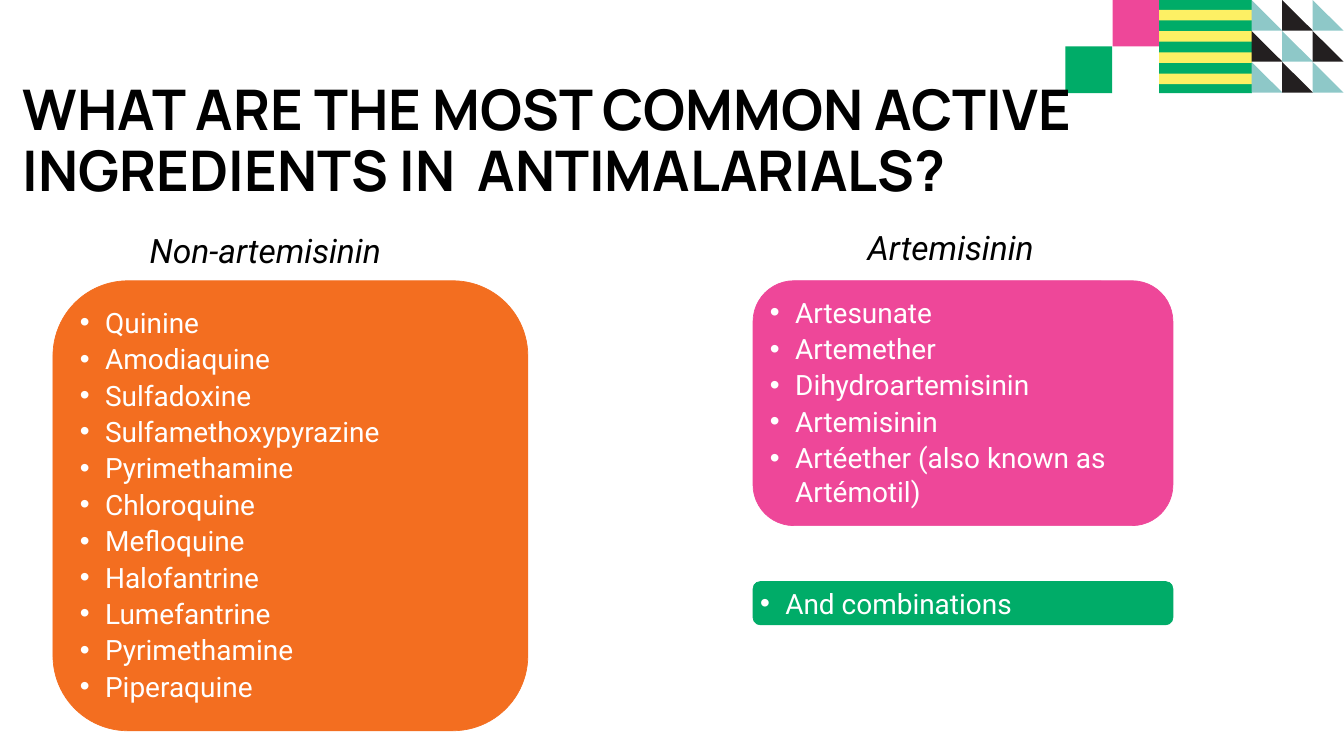
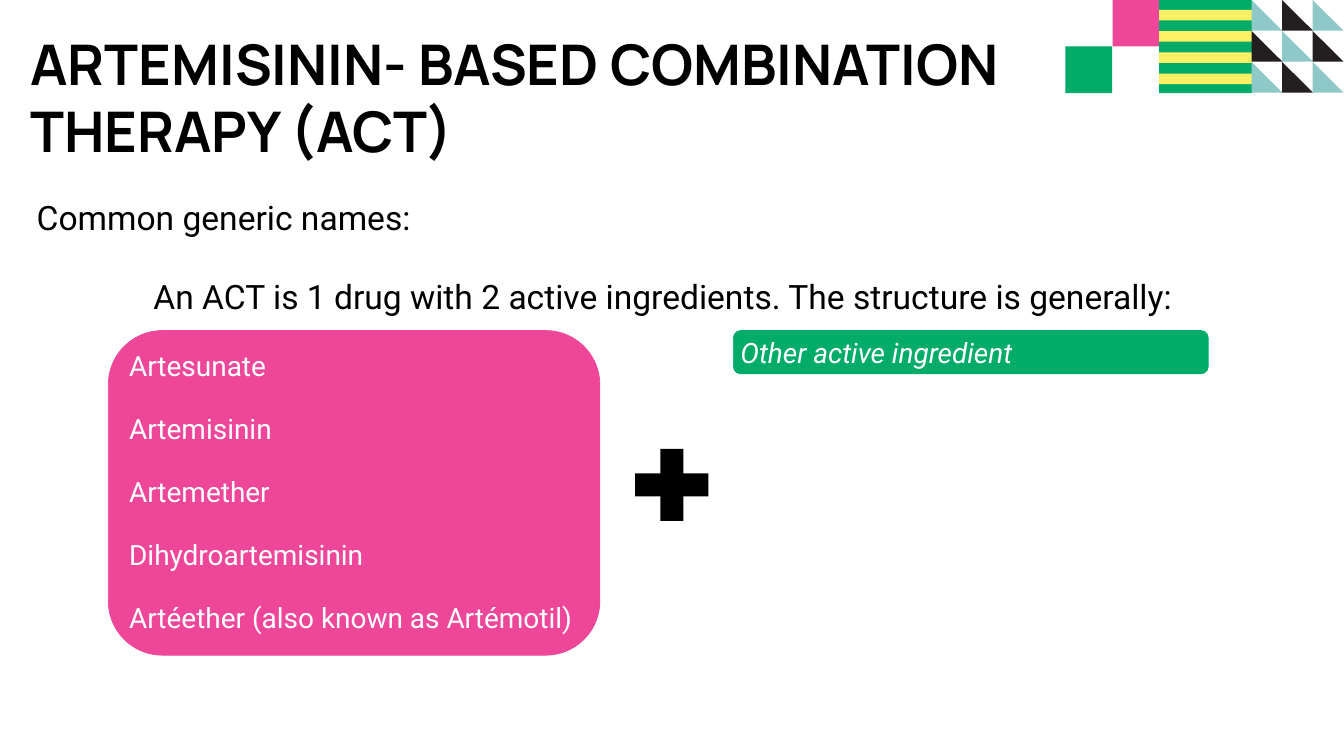
from lxml import etree
from pptx import Presentation
from pptx import util as u
from pptx.dml.color import RGBColor
from pptx.enum import shapes, text
from pptx.oxml.ns import qn

# Shared look
PINK, GREEN, ORANGE = "EE4799", "00AC68", "F36E20"
YELLOW, TEAL, INK = "FDF064", "8EC8C8", "231F20"
BLACK, WHITE = "000000", "FFFFFF"

TITLE = dict(name="Manrope", size=u.Pt(80), bold=True)
LEAD = dict(name="Roboto", size=u.Pt(48))
LEAD_ITALIC = dict(LEAD, italic=True)
ITEM = dict(name="Roboto", size=u.Pt(40))
ITEM_ITALIC = dict(ITEM, italic=True)

TIGHT = dict(space_before=u.Pt(2), space_after=u.Pt(2))
LOOSE = dict(space_before=u.Pt(2), space_after=u.Pt(40))


def color(hex_value):
    return RGBColor.from_string(hex_value)


def set_all(target, values):
    for key, value in values.items():
        setattr(target, key, value)


def box(left, top, width, height):
    return [u.Cm(length) for length in (left, top, width, height)]


# Kinds of element
def add_block(slide, preset, place, fill, outlined=False):
    block = slide.shapes.add_shape(preset, *box(*place))
    block.shadow.inherit = False
    block.fill.solid()
    block.fill.fore_color.rgb = color(fill)
    if outlined:
        block.line.color.rgb = color(fill)
        block.line.width = u.Pt(1)
    else:
        block.line.fill.background()
    return block


def add_bullet(paragraph):
    properties = paragraph._p.get_or_add_pPr()
    indent = u.Cm(1.27)
    properties.set("marL", str(indent))
    properties.set("indent", str(-indent))
    etree.SubElement(properties, qn("a:buFont")).set("typeface", "Arial")
    etree.SubElement(properties, qn("a:buChar")).set("char", "•")


def write(holder, lines, font, ink, bullets=False, spacing=None, frame=None):
    """Fill a shape with paragraphs of one style."""
    area = holder.text_frame
    set_all(area, dict(word_wrap=True, vertical_anchor=text.MSO_ANCHOR.TOP))
    set_all(area, frame or {})
    for index, line in enumerate(lines):
        paragraph = area.add_paragraph() if index else area.paragraphs[0]
        paragraph.alignment = text.PP_ALIGN.LEFT
        if bullets:
            add_bullet(paragraph)
        set_all(paragraph, spacing or {})
        if index == 0:
            paragraph.space_before = u.Pt(0)
        run = paragraph.add_run()
        run.text = line
        set_all(run.font, font)
        run.font.color.rgb = color(ink)


def add_label(slide, place, line, font, **style):
    label = slide.shapes.add_textbox(*box(*place))
    write(label, [line], font, BLACK, **style)


def add_card(slide, place, fill, lines, font=ITEM, **style):
    rounded = shapes.MSO_SHAPE.ROUNDED_RECTANGLE
    card = add_block(slide, rounded, place, fill, outlined=True)
    write(card, lines, font, WHITE, **style)


def add_corner_pattern(slide):
    square = shapes.MSO_SHAPE.RECTANGLE
    triangle = shapes.MSO_SHAPE.RIGHT_TRIANGLE
    add_block(slide, square, (56.07, 0, 2.35, 2.34), PINK)
    add_block(slide, square, (53.69, 2.34, 2.36, 2.36), GREEN)
    # Striped square
    add_block(slide, square, (58.42, 0, 4.67, 4.7), GREEN)
    for stripe in range(4):
        add_block(slide, square, (58.42, 0.5 + 1.07 * stripe, 4.67, 0.53), YELLOW)
    # Three by three triangles in alternating colours
    for row in range(3):
        for column in range(3):
            place = (63.07 + 1.54 * column, 1.56 * row, 1.56, 1.55)
            add_block(slide, triangle, place, INK if (row + column) % 2 else TEAL)


def new_slide(deck):
    slide = deck.slides.add_slide(deck.slide_layouts[6])
    add_corner_pattern(slide)
    return slide


# Slides
def build_ingredients(deck):
    slide = new_slide(deck)
    add_label(slide, (0.91, 1.3, 53.54, 12.6),
              "WHAT ARE THE MOST COMMON ACTIVE INGREDIENTS IN  ANTIMALARIALS?",
              TITLE, spacing=dict(line_spacing=0.9),
              frame=dict(vertical_anchor=text.MSO_ANCHOR.BOTTOM,
                         margin_bottom=u.Cm(3.65)))
    non_artemisinin = [
        "Quinine", "Amodiaquine", "Sulfadoxine", "Sulfamethoxypyrazine",
        "Pyrimethamine", "Chloroquine", "Mefloquine", "Halofantrine",
        "Lumefantrine", "Pyrimethamine", "Piperaquine"]
    artemisinin = [
        "Artesunate", "Artemether", "Dihydroartemisinin", "Artemisinin",
        "Artéether (also known as Artémotil)"]
    add_card(slide, (2.67, 14.15, 23.93, 22.68), ORANGE, non_artemisinin,
             bullets=True, spacing=TIGHT)
    add_card(slide, (37.95, 14.15, 21.16, 12.34), PINK, artemisinin,
             bullets=True, spacing=TIGHT)
    add_card(slide, (37.95, 29.31, 21.16, 2.18), GREEN, ["And combinations"],
             bullets=True, spacing=LOOSE)
    add_label(slide, (7.29, 11.48, 14.71, 2.31), "Non-artemisinin", LEAD_ITALIC)
    add_label(slide, (43.48, 11.33, 14.71, 2.31), "Artemisinin", LEAD_ITALIC)


def build_combination_therapy(deck):
    slide = new_slide(deck)
    add_label(slide, (1.02, 1.04, 57.35, 7.62),
              "ARTEMISININ- BASED COMBINATION THERAPY (ACT)", TITLE,
              frame=dict(vertical_anchor=text.MSO_ANCHOR.MIDDLE,
                         margin_left=u.Cm(0.51), margin_right=u.Cm(0.51)))
    # Panel that frames the structure of the drug
    panel = add_block(slide, shapes.MSO_SHAPE.ROUNDED_RECTANGLE,
                      (2.01, 13, 63.7, 23.67), WHITE)
    write(panel,
          ["An ACT is 1 drug with 2 active ingredients. The structure is generally:"],
          LEAD, BLACK, frame=dict(margin_right=u.Cm(1.15)),
          spacing=dict(line_spacing=0.8, alignment=text.PP_ALIGN.CENTER))
    artemisinin = [
        "Artesunate", "Artemisinin", "Artemether", "Dihydroartemisinin",
        "Artéether (also known as Artémotil)"]
    add_card(slide, (5.46, 16.66, 24.77, 16.36), PINK, artemisinin, spacing=LOOSE)
    add_card(slide, (36.96, 16.66, 23.93, 2.18), GREEN,
             ["Other active ingredient"], ITEM_ITALIC, spacing=LOOSE)
    add_block(slide, shapes.MSO_SHAPE.MATH_PLUS, (31.34, 21.97, 5.03, 4.93), BLACK)
    add_label(slide, (1.6, 9.78, 33.88, 2.31), "Common generic names:", LEAD)


def main():
    deck = Presentation()
    set_all(deck, dict(slide_width=u.Cm(67.73), slide_height=u.Cm(38.1)))
    build_ingredients(deck)
    build_combination_therapy(deck)
    deck.save("out.pptx")


if __name__ == "__main__":
    main()
